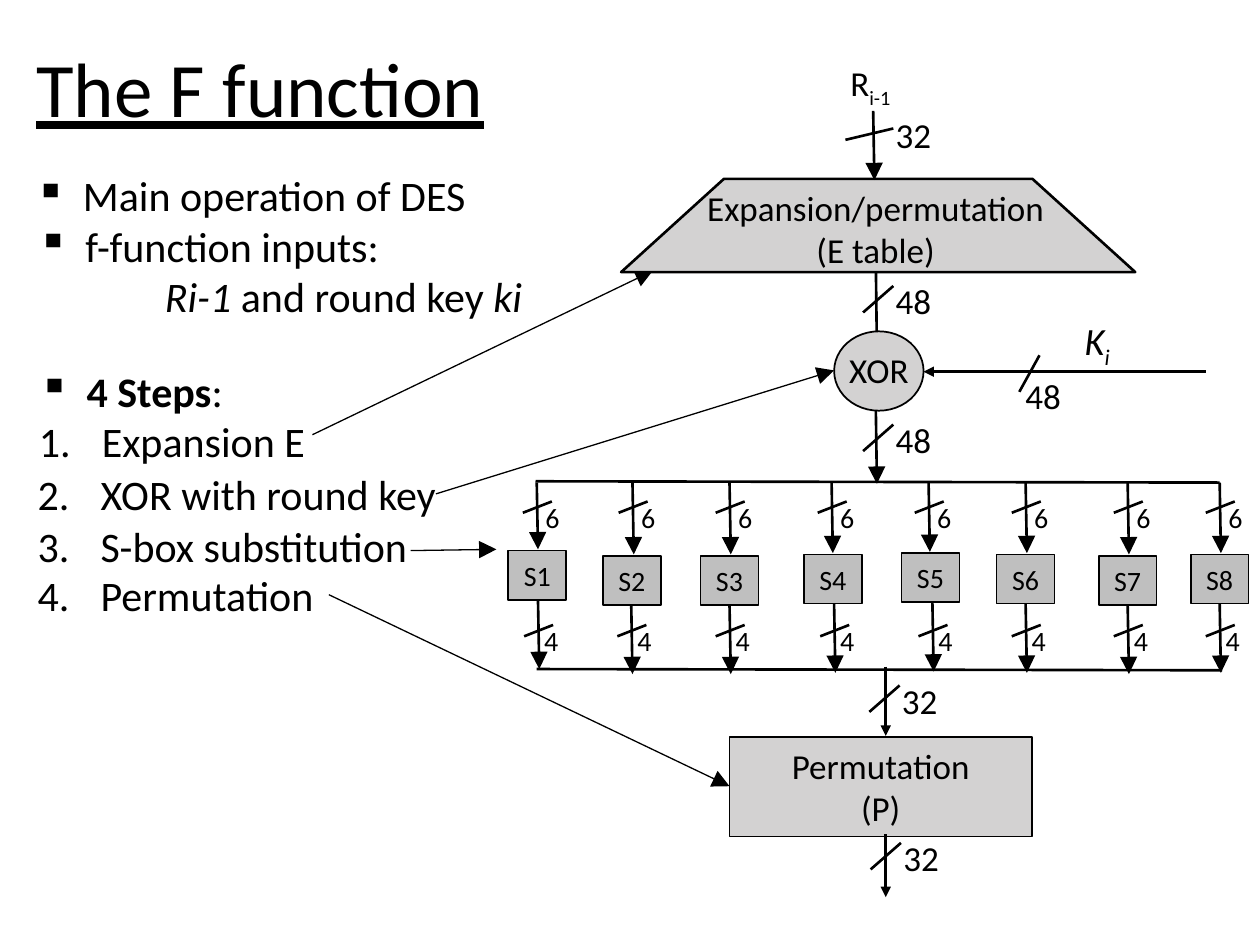
from lxml import etree
from pptx import Presentation
from pptx import util as u
from pptx.dml.color import RGBColor
from pptx.enum import shapes as sh, text as tx
from pptx.oxml import ns

HUES = {"ink": "000000", "box": "BFBFBF", "pale": "D3D2D2", "page": "FFFFFF"}
KINDS = sh.MSO_SHAPE


def hue(name):
    return RGBColor.from_string(HUES[name])


def sub(node, tag, **attrs):
    child = etree.SubElement(node, ns.qn(tag))
    for key, val in attrs.items():
        child.set(key, val)
    return child


class Board:
    font = "Calibri"

    def __init__(self, slide):
        self.slide = slide
        slide.background.fill.solid()
        slide.background.fill.fore_color.rgb = hue("page")

    def style(self, run, size, marks=""):
        """Marks: b bold, i italic, u underline, s subscript."""
        font = run.font
        font.name, font.size = self.font, u.Pt(size)
        font.color.rgb = hue("ink")
        font.bold, font.italic, font.underline = (m in marks for m in "biu")
        if "s" in marks:
            run._r.get_or_add_rPr().set("baseline", "-25000")

    def words(self, frame, lines, size, mid=False):
        """Each line is a string or a list of (text, marks) pairs."""
        frame.text = "\n".join("" if isinstance(n, list) else n for n in lines)
        for para, line in zip(frame.paragraphs, lines):
            para.alignment = tx.PP_ALIGN.CENTER if mid else tx.PP_ALIGN.LEFT
            if isinstance(line, str):
                self.style(para.runs[0], size)
                continue
            for part, marks in line:
                run = para.add_run()
                run.text = part
                self.style(run, size, marks)

    def label(self, at, lines, size=20, mid=False, wrap=True):
        box = self.slide.shapes.add_textbox(*map(u.Inches, at))
        box.text_frame.word_wrap = wrap
        self.words(box.text_frame, lines, size, mid)
        return box.text_frame.paragraphs

    def indent(self, para, left, hang=0, char=None, start=None):
        """Set the indent in inches, with a bullet char or a number."""
        props = para._p.get_or_add_pPr()
        props.set("marL", str(u.Inches(left)))
        props.set("indent", str(-u.Inches(hang)))
        if char:
            sub(props, "a:buChar", char=char)
        elif start:
            sub(props, "a:buAutoNum", type="arabicPeriod", startAt=str(start))

    def dot(self, para):
        self.indent(para, 0.38, 0.38, char="▪")

    def step(self, para, num):
        self.indent(para, 0.5, 0.5, start=num)

    def block(self, kind, at, fill, lines=(), size=20, width=1):
        item = self.slide.shapes.add_shape(kind, *map(u.Inches, at))
        item.shadow.inherit = False
        item.fill.solid()
        item.fill.fore_color.rgb = hue(fill)
        item.line.color.rgb = hue("ink")
        item.line.width = u.Pt(width)
        if lines:
            item.text_frame.vertical_anchor = tx.MSO_ANCHOR.MIDDLE
            self.words(item.text_frame, lines, size, mid=True)
        return item

    def wire(self, x1, y1, x2, y2, tip=None, width=1.5):
        """Draw a line; tip is the size of the arrowhead at its end."""
        ends = map(u.Inches, (x1, y1, x2, y2))
        line = self.slide.shapes.add_connector(sh.MSO_CONNECTOR.STRAIGHT, *ends)
        line.line.color.rgb = hue("ink")
        line.line.width = u.Pt(width)
        props = line._element.spPr
        if tip:
            sub(props.find(ns.qn("a:ln")), "a:tailEnd",
                type="triangle", w=tip, len=tip)
        sub(props, "a:effectLst")

    def bits(self, x, y, count):
        """Slash a wire from its upper right end and note the bit count."""
        self.wire(x, y, x - 0.24, y + 0.21)
        self.label((x - 0.11, y - 0.1, 0.54, 0.44), [count], mid=True)

    def lane(self, x, y, tip, count, shift):
        """Draw an arrow down with its slash and bit count."""
        mark = 3.98 if y < 4 else 4.96
        self.wire(x, y, x + 0.01, tip, "lg")
        self.wire(x - 0.11, mark + 0.09, x + 0.12, mark)
        self.label((x - shift, mark - 0.06, 0.33, 0.37), [count], 16)


def boxes(b):
    b.wire(4.25, 3.82, 9.68, 3.83)
    b.wire(4.26, 5.31, 9.7, 5.32)
    lanes = [(4.26, 4.27, 4.37), (5.02, 5.01, 4.41), (5.79, 5.79, 4.41),
             (6.6, 6.62, 4.4), (7.37, 7.4, 4.39), (8.14, 8.14, 4.4),
             (8.95, 8.95, 4.41), (9.68, 9.68, 4.4)]
    for num, (into, out, top) in enumerate(lanes, 1):
        left = (into + out) / 2 - 0.23
        b.block(KINDS.RECTANGLE, (left, top, 0.46, 0.39), "box", [f"S{num}"], 16)
        b.lane(into, 3.83, top - 0.01, "6", 0.03)
        b.lane(out, top + 0.39, top + 0.94, "4", 0.05)


def notes(b):
    b.label((0.19, 0.27, 3.8, 0.84), [[("The F function", "u")]], 44, wrap=False)
    b.dot(b.label((0.18, 1.3, 5, 0.5), ["Main operation of DES"], 24)[0])
    paras = b.label((0.2, 1.7, 4.07, 0.91), [
        "f-function inputs:",
        [("Ri-1 ", "i"), ("and round key ", ""), ("ki", "i")]], 24)
    b.dot(paras[0])
    b.indent(paras[1], 1.01)
    paras = b.label((0.21, 2.85, 2.34, 0.91),
                    [[("4 Steps", "b"), (":", "")], "Expansion E"], 24)
    b.dot(paras[0])
    b.step(paras[1], 1)
    steps = [(3.67, 3.39, "XOR with round key"),
             (4.08, 3.17, "S-box substitution"), (4.47, 2.41, "Permutation")]
    for num, (top, wide, name) in enumerate(steps, 2):
        b.step(b.label((0.2, top, wide, 0.5), [name], 24, wrap=False)[0], num)
    for ends in [(2.48, 3.45, 5.18, 2.15), (3.46, 3.92, 6.62, 2.94),
                 (2.61, 4.72, 5.79, 6.24), (3.26, 4.37, 3.94, 4.36)]:
        b.wire(*ends, "lg", 0.75)


def flow(b):
    b.wire(6.95, 2.01, 6.96, 2.79)
    b.wire(6.95, 3.18, 6.96, 3.84, "lg")
    table = b.block(KINDS.FLOWCHART_MANUAL_OPERATION, (4.93, 1.42, 4.08, 0.74),
                    "pale", width=1.5)
    table._element.spPr.find(ns.qn("a:xfrm")).set("flipV", "1")
    b.label((5.43, 1.43, 3.04, 0.77),
            ["Expansion/permutation", "(E table)"], mid=True)
    b.block(KINDS.OVAL, (6.62, 2.63, 0.71, 0.63), "pale")
    b.label((6.62, 2.72, 0.71, 0.44), ["XOR"], mid=True)
    b.block(KINDS.RECTANGLE, (5.79, 5.85, 2.4, 0.79), "pale",
            ["Permutation", "(P)"])
    b.wire(7.03, 5.29, 7.03, 5.84, "med")
    b.wire(7.03, 6.62, 7.03, 7.12, "med")
    for x, y, count in [(7.09, 2.27, "48"), (7.09, 3.37, "48"),
                        (7.14, 5.44, "32"), (7.15, 6.69, "32")]:
        b.bits(x, y, count)
    # Round key input
    b.wire(9.57, 2.95, 7.33, 2.95, "med")
    b.wire(8.25, 2.82, 8.09, 3.11)
    b.label((8.01, 2.92, 0.54, 0.44), ["48"], mid=True)
    b.label((8.51, 2.47, 0.5, 0.47), [[("K", "i"), ("i", "is")]], 22)
    # Right half input
    b.wire(6.93, 0.88, 6.94, 1.43, "lg")
    b.label((6.65, 0.44, 0.55, 0.44), [[("R", ""), ("i-1", "s")]], wrap=False)
    b.wire(6.71, 1.11, 7.09, 1.02)
    b.label((7.01, 0.85, 0.49, 0.44), ["32"], wrap=False)


def main():
    deck = Presentation()
    deck.slide_width, deck.slide_height = u.Inches(10), u.Inches(7.5)
    board = Board(deck.slides.add_slide(deck.slide_layouts[6]))
    boxes(board)
    notes(board)
    flow(board)
    deck.save("out.pptx")


if __name__ == "__main__":
    main()
